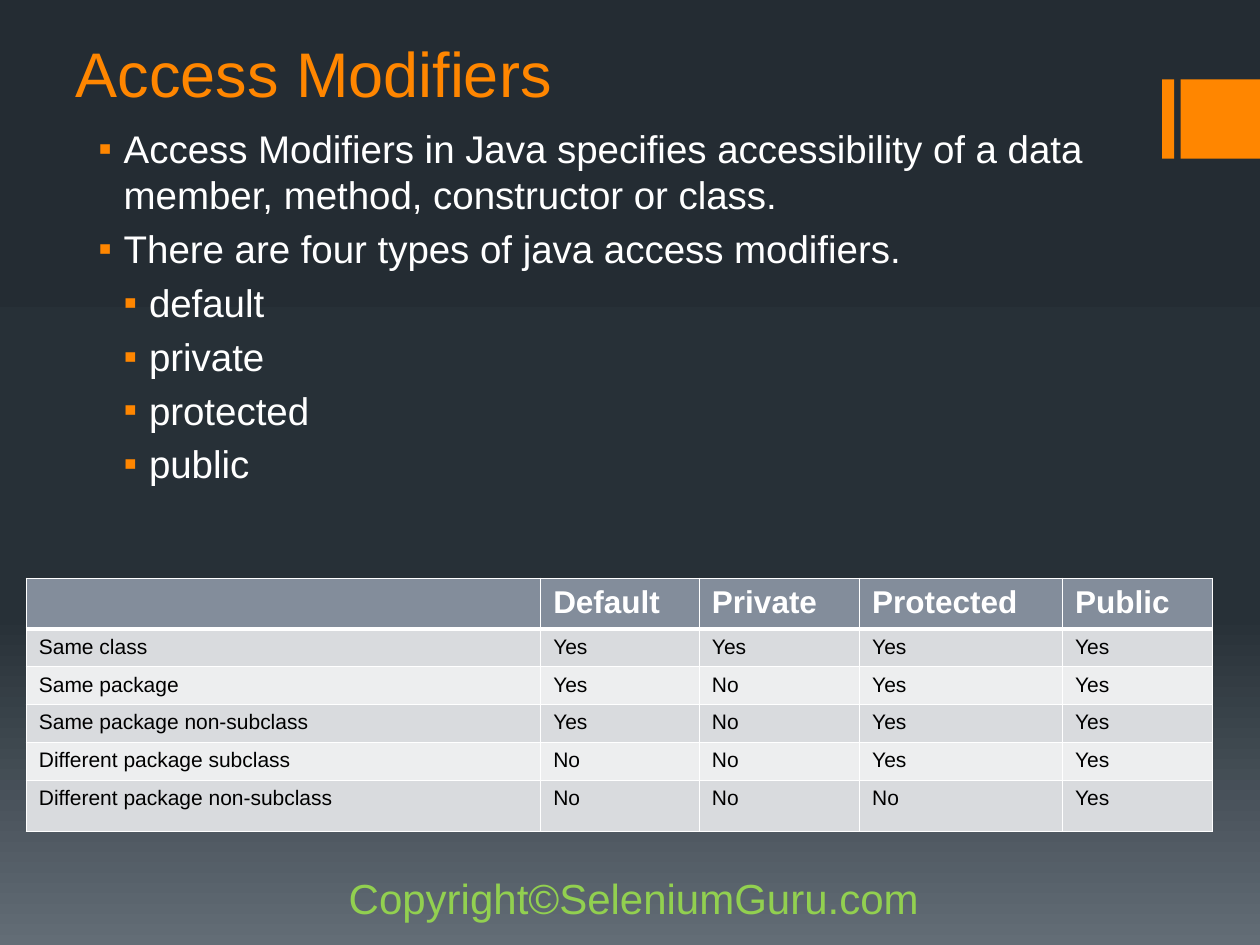
import pptx
import pptx.dml.color
import pptx.enum.shapes
import pptx.enum.text
import pptx.oxml
import pptx.oxml.ns
import pptx.util
import copy
from pptx.util import Cm

INK = {
    "accent": "FF8600", "white": "FFFFFF", "black": "000000",
    "green": "92D050", "head": "838D9B", "odd": "D9DBDE", "even": "EDEEEF",
    "top": "242C33", "mid": "273037", "base": "636D76",
}
LIST = [
    ("Access Modifiers in Java specifies accessibility of a data member, "
     "method, constructor or class.", 1),
    ("There are four types of java access modifiers.", 1),
    ("default", 2), ("private", 2), ("protected", 2), ("public", 2),
]
GRID = [
    ["", "Default", "Private", "Protected", "Public"],
    ["Same class", "Yes", "Yes", "Yes", "Yes"],
    ["Same package", "Yes", "No", "Yes", "Yes"],
    ["Same package non-subclass", "Yes", "No", "Yes", "Yes"],
    ["Different package subclass", "No", "No", "Yes", "Yes"],
    ["Different package non-subclass", "No", "No", "No", "Yes"],
]
COLS = [10.37, 3.2, 3.23, 4.09, 3.02]
ROWS = [0.98] + [0.73] * 4 + [1.03]


def tint(name):
    """Return the named colour as an RGB value."""
    return pptx.dml.color.RGBColor.from_string(INK[name])


def node(tag, body="", **attrs):
    """Build one drawing element with the given inner XML."""
    pairs = " ".join(f'{key}="{val}"' for key, val in attrs.items())
    space = pptx.oxml.ns.nsdecls("a")
    return pptx.oxml.parse_xml(f"<a:{tag} {space} {pairs}>{body}</a:{tag}>")


def write(para, text, size=12, color="white", bold=False, level=0, gap=0):
    """Fill a paragraph with formatted text, bulleted if it has a level."""
    para.alignment = pptx.enum.text.PP_ALIGN.LEFT
    para.space_before = pptx.util.Pt(gap)
    if level:
        para.level = level
        props = para._p.get_or_add_pPr()
        props.set("marL", str(Cm(0.89 + 0.51 * level)))
        props.set("indent", str(Cm(-0.51)))
        props.append(node("buClr", f'<a:srgbClr val="{INK["accent"]}"/>'))
        props.append(node("buFont", typeface="Arial"))
        props.append(node("buChar", char="▪"))
    font = para.add_run().font if text else para.font
    if text:
        para.runs[0].text = text
    font.name = "Arial"
    font.size = pptx.util.Pt(size)
    font.bold = bold
    font.color.rgb = tint(color)


def place(item, left, top, width, height):
    """Move and size a placeholder, in centimetres."""
    item.left, item.top = Cm(left), Cm(top)
    item.width, item.height = Cm(width), Cm(height)
    item.text_frame.auto_size = pptx.enum.text.MSO_AUTO_SIZE.NONE


def shade(slide):
    """Give the slide its vertical three-stop gradient."""
    fill = slide.background.fill
    fill.gradient()
    fill.gradient_angle = 270
    stops = fill._fill._gradFill.gsLst
    stops.append(copy.deepcopy(stops[-1]))
    marks = zip(fill.gradient_stops, (0, 0.65, 1), ("top", "mid", "base"))
    for stop, spot, name in marks:
        stop.position = spot
        stop.color.rgb = tint(name)


def block(slide, left, width):
    """Draw one accent bar at the right edge."""
    kind = pptx.enum.shapes.MSO_SHAPE.RECTANGLE
    bar = slide.shapes.add_shape(kind, Cm(left), Cm(1.6), Cm(width), Cm(1.6))
    bar.shadow.inherit = False
    bar.fill.solid()
    bar.fill.fore_color.rgb = tint("accent")
    bar.line.fill.background()


def edge(cell, row):
    """Draw white cell borders, thick below the header."""
    thick = {0: "lnB", 1: "lnT"}.get(row)
    paint = f'<a:solidFill><a:srgbClr val="{INK["white"]}"/></a:solidFill>'
    for side in ("lnL", "lnR", "lnT", "lnB"):
        width = pptx.util.Pt(3 if side == thick else 1)
        cell._tc.get_or_add_tcPr().append(node(side, paint, w=width))


def table(slide):
    """Add the access table."""
    frame = slide.shapes.add_table(len(ROWS), len(COLS), Cm(0.53), Cm(11.66),
                                   Cm(sum(COLS)), Cm(sum(ROWS)))
    grid = frame.table
    for col, width in zip(grid.columns, COLS):
        col.width = Cm(width)
    for i, (line, high) in enumerate(zip(GRID, ROWS)):
        grid.rows[i].height = Cm(high)
        look = dict(size=12, color="black")
        if i == 0:
            look = dict(size=18, color="white", bold=True)
        for j, text in enumerate(line):
            cell = grid.cell(i, j)
            edge(cell, i)
            cell.fill.solid()
            name = "odd" if i % 2 else "even"
            cell.fill.fore_color.rgb = tint(name if i else "head")
            write(cell.text_frame.paragraphs[0], text, **look)


def main():
    """Build the slide and save it."""
    deck = pptx.Presentation()
    deck.slide_width, deck.slide_height = Cm(25.4), Cm(19.05)
    slide = deck.slides.add_slide(deck.slide_layouts[1])
    shade(slide)
    block(slide, 23.43, 0.24)
    block(slide, 23.8, 1.6)

    title, body = slide.placeholders
    place(title, 1.27, 0.43, 19.69, 1.91)
    title.text_frame.vertical_anchor = pptx.enum.text.MSO_ANCHOR.BOTTOM
    write(title.text_frame.paragraphs[0], "Access Modifiers",
          size=36, color="accent")

    place(body, 0.84, 2.39, 23.29, 8.43)
    for i, (text, level) in enumerate(LIST):
        frame = body.text_frame
        para = frame.add_paragraph() if i else frame.paragraphs[0]
        write(para, text, size=22, level=level, gap=4.4 if i else 0)

    foot = slide.shapes.add_textbox(Cm(6.78), Cm(17.58), Cm(12.95), Cm(1.27))
    foot.text_frame.word_wrap = True
    foot.text_frame.margin_top = 0
    write(foot.text_frame.paragraphs[0], "Copyright©SeleniumGuru.com",
          size=24, color="green")
    table(slide)
    deck.save("out.pptx")


if __name__ == "__main__":
    main()
